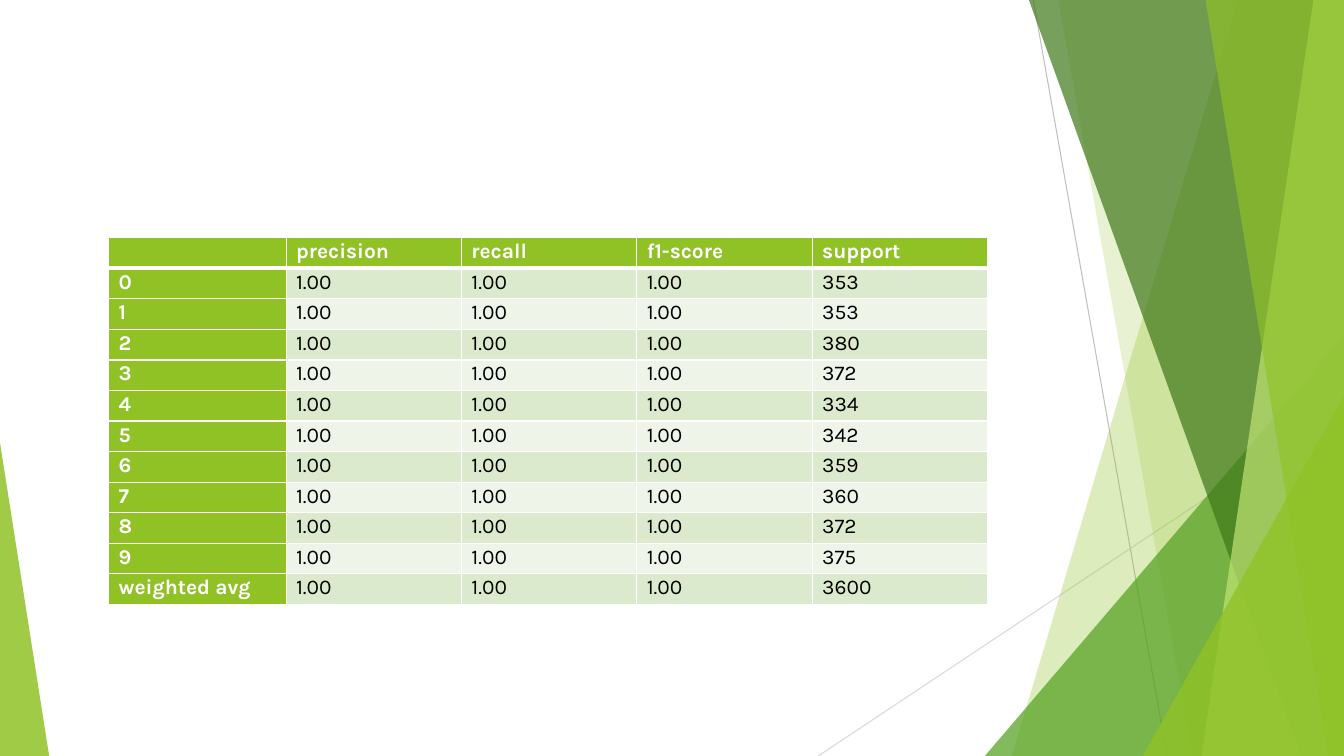
from lxml.etree import SubElement
from pptx import Presentation
from pptx.dml.color import RGBColor
from pptx.enum.shapes import MSO_CONNECTOR, MSO_SHAPE
from pptx.oxml.ns import qn
from pptx.util import Cm, Pt

HEADER = ["", "precision", "recall", "f1-score", "support"]
SUPPORT = [
    ("0", "353"), ("1", "353"), ("2", "380"), ("3", "372"), ("4", "334"),
    ("5", "342"), ("6", "359"), ("7", "360"), ("8", "372"), ("9", "375"),
    ("weighted avg", "3600"),
]
SCORE = "1.00"
ROWS = [HEADER] + [[label, SCORE, SCORE, SCORE, count] for label, count in SUPPORT]

COLORS = {
    "white": "FFFFFF", "black": "000000", "lime": "90C226", "green": "54A021",
    "forest": "3F7819", "pale": "C0E474", "band": "DBE9CD", "light_band": "EEF4E8",
    "gray": "BFBFBF", "light_gray": "D9D9D9",
}
FONT = "Karla"
WIDTH, HEIGHT = 33.87, 19.05

HAIRLINES = [
    ((26.04, 0), (29.41, HEIGHT), "gray"),
    ((WIDTH, 10.24), (20.62, HEIGHT), "light_gray"),
]
FACETS = [
    ("wedge", (31.19, 25.5), "lime", 30),
    ("wedge", (26.67, 30.05), "lime", 20),
    ("triangle", (24.82, 8.46, WIDTH, 1), "green", 72),
    ("wedge", (25.93, 32.79), "forest", 70),
    ("wedge", (33.1, 30.28), "pale", 70),
    ("wedge", (30.38, 33.48), "lime", 65),
    ("triangle", (28.8, 9.98, WIDTH, 1), "lime", 80),
    ("triangle", (0, 11.15, 1.24, 0), "lime", 85),
]

TABLE_LEFT, TABLE_TOP = 2.74, 5.99
LABEL_WIDTH, VALUE_WIDTH, ROW_HEIGHT = 4.47, 4.42, 0.77


def color(name):
    return RGBColor.from_string(COLORS[name])


def add_hairline(slide, start, end, name):
    line = slide.shapes.add_connector(
        MSO_CONNECTOR.STRAIGHT, *(Cm(value) for value in start + end))
    line.line.color.rgb = color(name)
    line.line.width = Pt(0.75)
    SubElement(line._element.spPr, qn("a:effectLst"))


def add_wedge(slide, top_x, bottom_x):
    builder = slide.shapes.build_freeform(Cm(top_x), 0)
    corners = [(WIDTH, 0), (WIDTH, HEIGHT), (bottom_x, HEIGHT)]
    builder.add_line_segments([(Cm(x), Cm(y)) for x, y in corners])
    return builder.convert_to_shape()


def add_triangle(slide, left, top, right, apex):
    shape = slide.shapes.add_shape(
        MSO_SHAPE.ISOSCELES_TRIANGLE,
        Cm(left), Cm(top), Cm(right - left), Cm(HEIGHT - top))
    shape.adjustments[0] = apex
    return shape


def paint_facet(shape, name, opacity):
    shape.shadow.inherit = False
    shape.line.fill.background()
    shape.fill.solid()
    shape.fill.fore_color.rgb = color(name)
    fill_color = shape._element.spPr.find(qn("a:solidFill"))[0]
    SubElement(fill_color, qn("a:alpha"), val=str(opacity * 1000))


def set_borders(cell, top=1, bottom=1):
    properties = cell._tc.get_or_add_tcPr()
    for side, points in (("L", 1), ("R", 1), ("T", top), ("B", bottom)):
        border = SubElement(properties, qn(f"a:ln{side}"), w=str(Pt(points)))
        fill = SubElement(border, qn("a:solidFill"))
        SubElement(fill, qn("a:srgbClr"), val=COLORS["white"])


def write(cell, text, size=15, name="black", bold=False):
    paragraph = cell.text_frame.paragraphs[0]
    paragraph.line_spacing = 1.07
    run = paragraph.add_run()
    run.text = text
    run.font.name = FONT
    run.font.size = Pt(size)
    run.font.bold = bold
    run.font.color.rgb = color(name)


def add_report(slide):
    columns = len(HEADER)
    table = slide.shapes.add_table(
        len(ROWS), columns, Cm(TABLE_LEFT), Cm(TABLE_TOP),
        Cm(LABEL_WIDTH + VALUE_WIDTH * (columns - 1)),
        Cm(ROW_HEIGHT * len(ROWS))).table
    table.first_col = True
    for index, column in enumerate(table.columns):
        column.width = Cm(VALUE_WIDTH if index else LABEL_WIDTH)
    for row_index, values in enumerate(ROWS):
        table.rows[row_index].height = Cm(ROW_HEIGHT)
        for column_index, text in enumerate(values):
            cell = table.cell(row_index, column_index)
            heading = row_index == 0 or column_index == 0
            band = "band" if row_index % 2 else "light_band"
            cell.margin_left = cell.margin_right = Cm(0.25)
            cell.margin_top = cell.margin_bottom = 0
            set_borders(cell, top=3 if row_index == 1 else 1,
                        bottom=3 if row_index == 0 else 1)
            cell.fill.solid()
            cell.fill.fore_color.rgb = color("lime" if heading else band)
            write(cell, text, name="white" if heading else "black", bold=heading)


def main():
    presentation = Presentation()
    presentation.slide_width, presentation.slide_height = Cm(WIDTH), Cm(HEIGHT)
    slide = presentation.slides.add_slide(presentation.slide_layouts[6])
    for start, end, name in HAIRLINES:
        add_hairline(slide, start, end, name)
    builders = {"wedge": add_wedge, "triangle": add_triangle}
    for kind, geometry, name, opacity in FACETS:
        paint_facet(builders[kind](slide, *geometry), name, opacity)
    add_report(slide)
    presentation.save("out.pptx")


if __name__ == "__main__":
    main()
